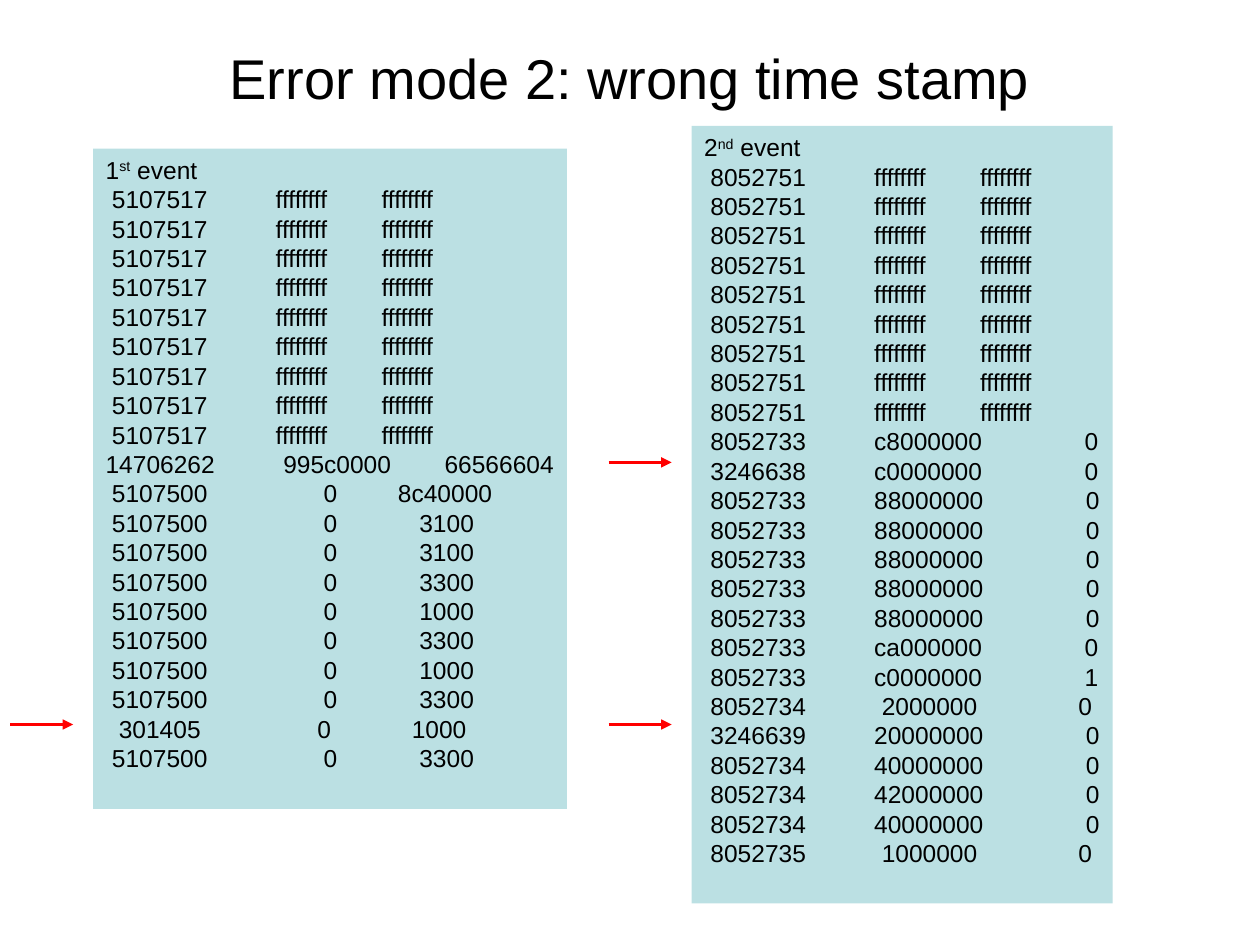
from dataclasses import dataclass

from lxml.etree import SubElement
from pptx import Presentation
from pptx.dml.color import RGBColor as Rgb
from pptx.enum.shapes import MSO_CONNECTOR as Link, MSO_SHAPE as Shape
from pptx.enum.text import MSO_ANCHOR as Anchor, PP_ALIGN as Align
from pptx.oxml.ns import qn
from pptx.util import Inches, Pt


@dataclass(frozen=True)
class Theme:
    face: str = "Arial"
    ink: Rgb = Rgb(0, 0, 0)
    panel: Rgb = Rgb(0xBB, 0xE0, 0xE3)
    arrow: Rgb = Rgb(0xFF, 0, 0)
    head: float = 32
    text: float = 14
    pitch: float = 16.8
    line: float = 1.5


@dataclass(frozen=True)
class Row:
    cells: str
    stops: tuple[float, float]
    count: int = 1


@dataclass(frozen=True)
class Panel:
    num: str
    suffix: str
    box: tuple[float, float, float, float]
    rows: list[Row]


THEME = Theme()
TIME_MID = 0.43
FILL = (1.35, 2.19)
PEAK = (1.41, 2.69)
WIDE = (1.73, 2.32)
ZERO = (1.73, 2.49)
LATE = (1.68, 2.43)
HEX = (1.35, 3.02)
FULL = (1.35, 3.03)
SHORT = (1.41, 2.97)

PANELS = [
    Panel("1", "st", (0.74, 1.18, 3.76, 5.24), [
        Row("5107517 ffffffff ffffffff", FILL, 9),
        Row("14706262 995c0000 66566604", PEAK),
        Row("5107500 0 8c40000", WIDE),
        Row("5107500 0 3100", ZERO, 2),
        Row("5107500 0 3300", ZERO),
        Row("5107500 0 1000", ZERO),
        Row("5107500 0 3300", ZERO),
        Row("5107500 0 1000", ZERO),
        Row("5107500 0 3300", ZERO),
        Row("301405 0 1000", LATE),
        Row("5107500 0 3300", ZERO),
    ]),
    Panel("2", "nd", (5.49, 1, 3.34, 6.17), [
        Row("8052751 ffffffff ffffffff", FILL, 9),
        Row("8052733 c8000000 0", HEX),
        Row("3246638 c0000000 0", HEX),
        Row("8052733 88000000 0", FULL, 5),
        Row("8052733 ca000000 0", HEX),
        Row("8052733 c0000000 1", HEX),
        Row("8052734 2000000 0", SHORT),
        Row("3246639 20000000 0", FULL),
        Row("8052734 40000000 0", FULL),
        Row("8052734 42000000 0", FULL),
        Row("8052734 40000000 0", FULL),
        Row("8052735 1000000 0", SHORT),
    ]),
]
ARROWS = [(0.08, 5.75), (4.83, 3.67), (4.83, 5.75)]
ARROW_LEN = 0.5


def apply(item, form: dict) -> None:
    for key, value in form.items():
        setattr(item, key, value)


def add_run(para, text: str, size: float):
    run = para.add_run()
    run.text = text
    apply(run.font, {"name": THEME.face, "size": Pt(size)})
    run.font.color.rgb = THEME.ink
    return run


def set_tabs(para, stops: tuple[float, float]) -> None:
    """Centre the time column and left-align the two data columns."""
    tabs = SubElement(para._p.get_or_add_pPr(), qn("a:tabLst"))
    for pos, kind in [(TIME_MID, "ctr"), *((stop, "l") for stop in stops)]:
        SubElement(tabs, qn("a:tab"), pos=str(Inches(pos)), algn=kind)


def add_title(slide, text: str) -> None:
    title = slide.shapes.title
    apply(title, dict(left=Inches(0.5), top=Inches(0.3),
                      width=Inches(9), height=Inches(0.62)))
    title.text_frame.vertical_anchor = Anchor.MIDDLE
    para = title.text_frame.paragraphs[0]
    para.alignment = Align.CENTER
    add_run(para, text, THEME.head)


def add_panel(slide, panel: Panel) -> None:
    shape = slide.shapes.add_shape(Shape.RECTANGLE, *map(Inches, panel.box))
    shape.shadow.inherit = False
    shape.fill.solid()
    shape.fill.fore_color.rgb = THEME.panel
    shape.line.fill.background()
    frame = shape.text_frame
    apply(frame, dict(word_wrap=True, vertical_anchor=Anchor.TOP,
                      margin_right=Inches(0)))
    form = dict(alignment=Align.LEFT, line_spacing=Pt(THEME.pitch))

    para = frame.paragraphs[0]
    apply(para, form)
    add_run(para, panel.num, THEME.text)
    mark = add_run(para, panel.suffix, THEME.text)
    mark._r.get_or_add_rPr().set("baseline", "30000")
    add_run(para, " event", THEME.text)

    for row in panel.rows:
        for _ in range(row.count):
            para = frame.add_paragraph()
            apply(para, form)
            set_tabs(para, row.stops)
            add_run(para, "\t" + "\t".join(row.cells.split()), THEME.text)


def add_arrow(slide, left: float, top: float) -> None:
    ends = map(Inches, (left, top, left + ARROW_LEN, top))
    arrow = slide.shapes.add_connector(Link.STRAIGHT, *ends)
    arrow.line.width = Pt(THEME.line)
    arrow.line.color.rgb = THEME.arrow
    SubElement(arrow.line._get_or_add_ln(), qn("a:tailEnd"), type="triangle")
    SubElement(arrow._element.spPr, qn("a:effectLst"))


def main() -> None:
    deck = Presentation()
    apply(deck, dict(slide_width=Inches(10), slide_height=Inches(7.5)))
    slide = deck.slides.add_slide(deck.slide_layouts[5])
    add_title(slide, "Error mode 2: wrong time stamp")
    for panel in PANELS:
        add_panel(slide, panel)
    for left, top in ARROWS:
        add_arrow(slide, left, top)
    deck.save("out.pptx")


if __name__ == "__main__":
    main()
